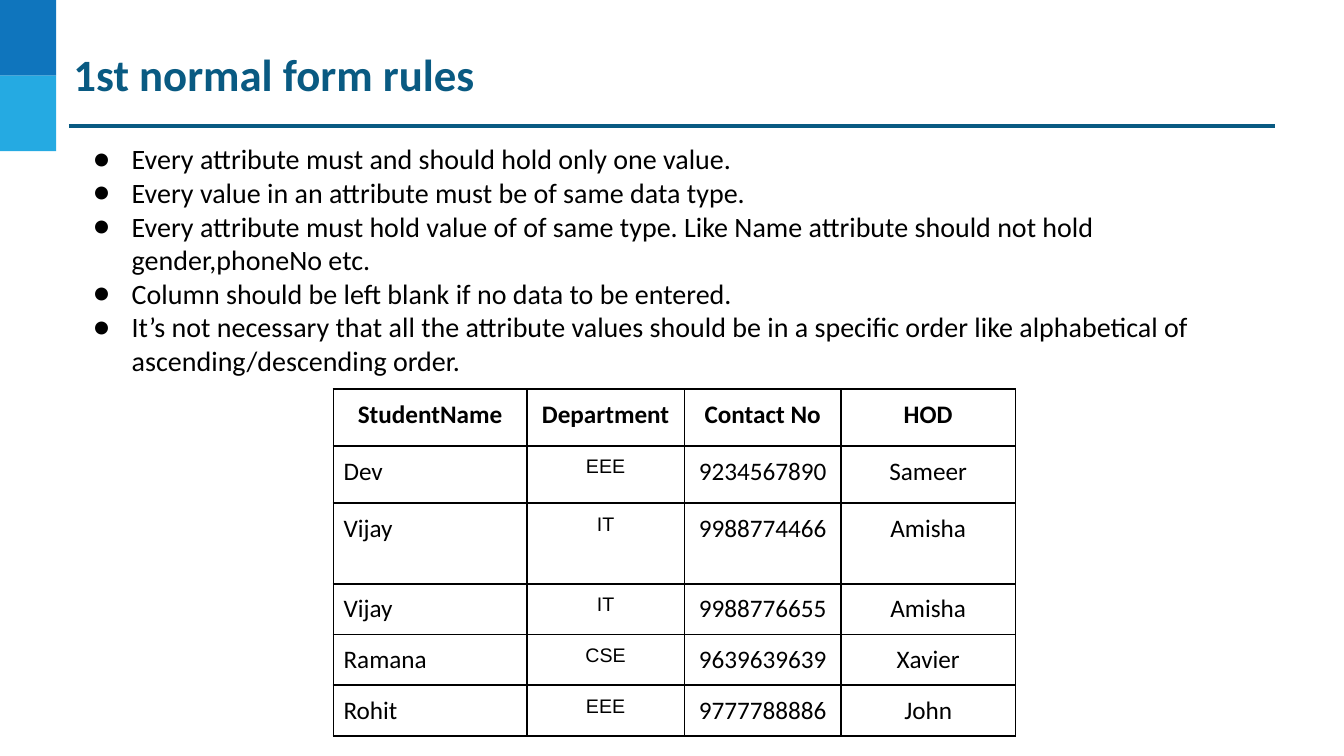
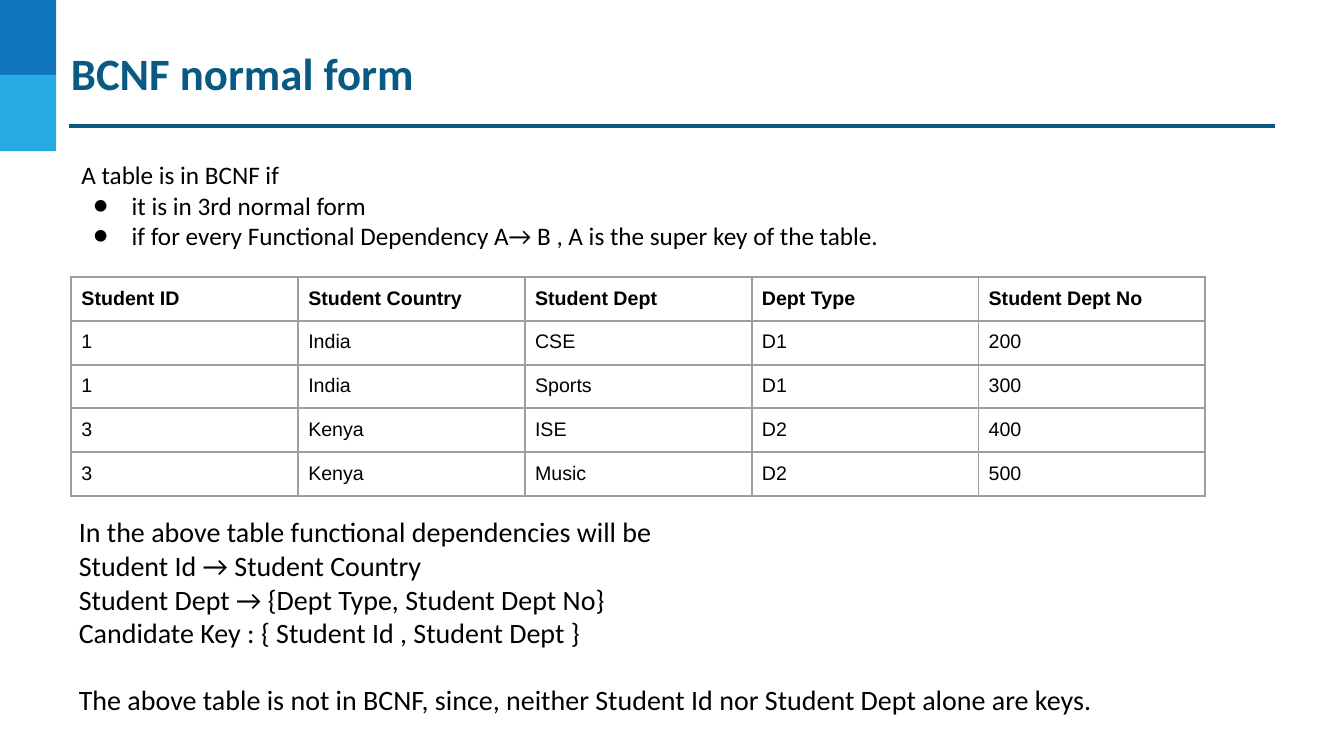
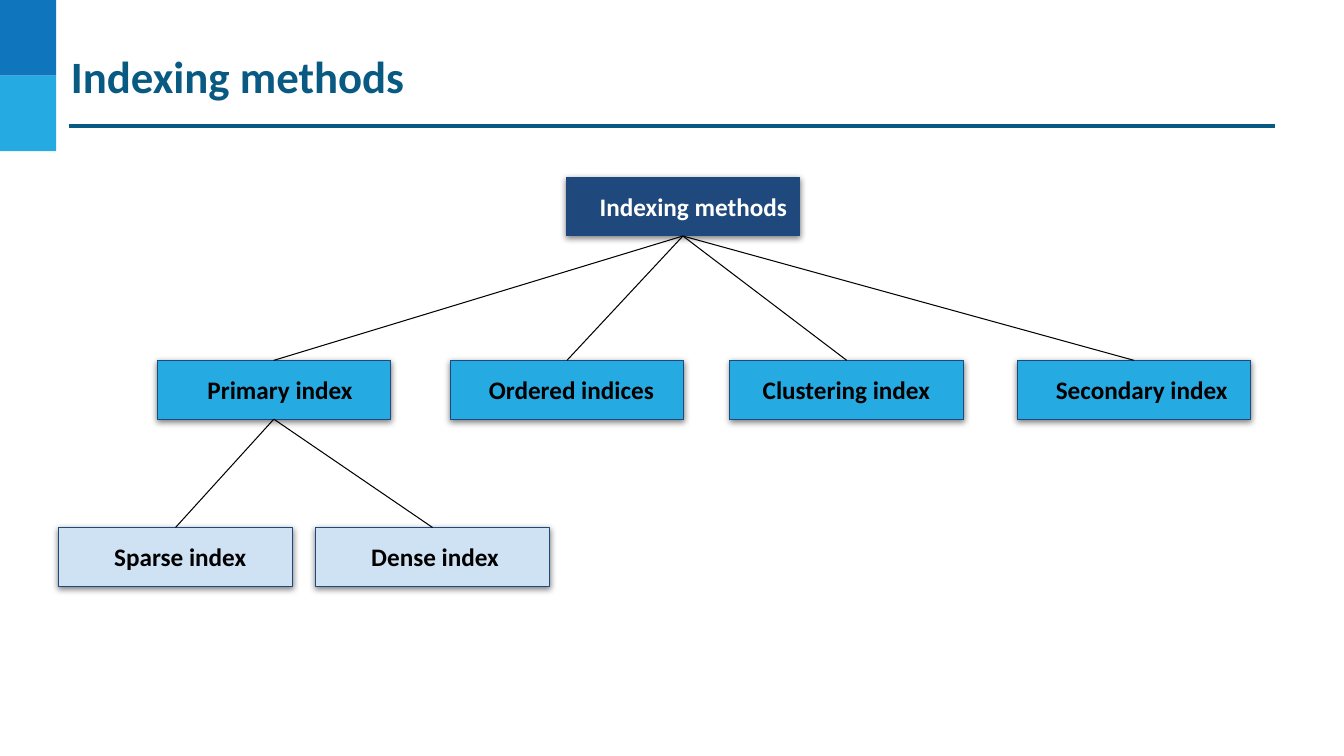
"""Build three database slides: 1st normal form, BCNF and indexing methods."""
from lxml.etree import SubElement
from pptx import Presentation
from pptx.dml.color import RGBColor
from pptx.enum.shapes import MSO_CONNECTOR, MSO_SHAPE
from pptx.enum.text import MSO_ANCHOR, MSO_AUTO_SIZE, PP_ALIGN
from pptx.oxml.ns import qn
from pptx.util import Inches, Pt

C = {name: RGBColor.from_string(value) for name, value in {
    "band": "0F75BD", "sky": "25AAE2", "title": "095A82", "navy": "1F497D",
    "pale": "CFE2F3", "grey": "9E9E9E", "black": "000000", "white": "FFFFFF",
}.items()}

prs = Presentation()
prs.slide_width, prs.slide_height = Inches(40 / 3), Inches(7.5)
U = prs.slide_width // 160
PAD = 1.2
blank = prs.slide_layouts[6]


def add_text(s, x, y, w, h, lines, size, color="black", bold=False, pad=PAD, bullets=()):
    tb = s.shapes.add_textbox(*(int(v * U) for v in (x, y, w, h)))
    tf = tb.text_frame
    tf.word_wrap = True
    tf.auto_size = MSO_AUTO_SIZE.SHAPE_TO_FIT_TEXT
    tf.margin_left = tf.margin_right = tf.margin_top = tf.margin_bottom = int(pad * U)
    tf.text = "\n".join(lines)
    for i, p in enumerate(tf.paragraphs):
        f = p.runs[0].font
        f.name, f.size, f.bold, f.color.rgb = "Calibri", Pt(size), bold, C[color]
        if i in bullets:
            pPr = p._p.get_or_add_pPr()
            pPr.set("marL", str(6 * U))
            pPr.set("indent", str(int(-4.6 * U)))
            clr = SubElement(pPr, qn("a:buClr"))
            SubElement(clr, qn("a:srgbClr"), val=str(C["black"]))
            SubElement(pPr, qn("a:buFont"), typeface="Calibri")
            SubElement(pPr, qn("a:buChar"), char="●")
    return tf


def add_grid(s, x, y, cols, rows, data, border, styles, header=True):
    tbl = s.shapes.add_table(len(rows), len(cols), int(x * U), int(y * U),
                             int(sum(cols) * U), int(sum(rows) * U)).table
    tbl.first_row = tbl.horz_banding = False
    for column, w in zip(tbl.columns, cols):
        column.width = int(w * U)
    for i, (row, h, texts) in enumerate(zip(tbl.rows, rows, data)):
        row.height = int(h * U)
        for cell, text, style in zip(row.cells, texts, styles[min(i, 1) if header else 1]):
            name, size, align = style
            cell.margin_left = cell.margin_right = int(PAD * U)
            cell.margin_top = cell.margin_bottom = int(PAD * U)
            cell.text = text
            p = cell.text_frame.paragraphs[0]
            p.alignment = align
            f = p.runs[0].font
            f.name, f.size, f.color.rgb = name, Pt(size), C["black"]
            f.bold = header and i == 0
            tcPr = cell._tc.get_or_add_tcPr()
            for side in ("lnL", "lnR", "lnT", "lnB"):
                ln = SubElement(tcPr, qn(f"a:{side}"), w=str(Pt(1.5)))
                fill = SubElement(ln, qn("a:solidFill"))
                SubElement(fill, qn("a:srgbClr"), val=str(C[border]))
            cell.fill.background()


slides = [prs.slides.add_slide(blank) for _ in range(3)]
first_form, bcnf, indexing = slides
connectors = []

for ph in list(blank.placeholders):
    blank.shapes.element.remove(ph.element)
for i, color in enumerate(("band", "sky")):
    sp = first_form.shapes.add_shape(MSO_SHAPE.RECTANGLE, 0, 9 * i * U, int(6.7 * U), 9 * U)
    sp.shadow.inherit = False
    sp.fill.solid()
    sp.fill.fore_color.rgb = C[color]
    sp.line.fill.background()
    blank.shapes.element.append(sp.element)
rule = first_form.shapes.add_connector(MSO_CONNECTOR.STRAIGHT, int(8.2 * U), 15 * U,
                                       int(151.8 * U), 15 * U)
blank.shapes.element.append(rule._element)
connectors.append((rule, "title", 2.25))

for s, title, x, y in ((first_form, "1st normal form rules", 8.5, 5.3),
                       (bcnf, "BCNF normal form", 8.2, 5.2),
                       (indexing, "Indexing methods", 8.2, 5.6)):
    add_text(s, x, y, 143.6, 7, [title], 32, "title", True, 0.24)

add_text(first_form, 8.5, 15.7, 142.9, 30.7, [
    "Every attribute must and should hold only one value.",
    "Every value in an attribute must be of same data type.",
    "Every attribute must hold value of of same type. Like Name attribute should not hold "
    "gender,phoneNo etc.",
    "Column should be left blank if no data to be entered.",
    "It’s not necessary that all the attribute values should be in a specific order like "
    "alphabetical of ascending/descending order.",
], 20, bullets=range(5))

students = [
    ("StudentName", "Department", "Contact No", "HOD"),
    ("Dev", "EEE", "9234567890", "Sameer"),
    ("Vijay", "IT", "9988774466", "Amisha"),
    ("Vijay", "IT", "9988776655", "Amisha"),
    ("Ramana", "CSE", "9639639639", "Xavier"),
    ("Rohit", "EEE", "9777788886", "John"),
]
centred = ("Calibri", 18, PP_ALIGN.CENTER)
student_styles = ([centred] * 4, [("Calibri", 18, PP_ALIGN.LEFT),
                                  ("Arial", 14, PP_ALIGN.CENTER), centred, centred])
student_cols = (23, 18.8, 18.6, 20.8)
student_rows = (6.8, 6.8, 9.6, 6.05, 6.05)
add_grid(first_form, 39.7, 46.3, student_cols, student_rows, students[:5], "black",
         student_styles)
add_grid(first_form, 39.7, 46.3 + sum(student_rows), student_cols, student_rows[-1:],
         students[5:], "black", student_styles, header=False)

add_text(bcnf, 8.5, 17.8, 142.9, 13.3, [
    "A table is in BCNF if",
    "it is in 3rd normal form",
    "if for every Functional Dependency A→ B , A is the super key of the table.",
], 18, bullets=(1, 2))
add_grid(bcnf, 8.5, 33, [27] * 5, [5.2] * 5, [
    ("Student ID", "Student Country", "Student Dept", "Dept Type", "Student Dept No"),
    ("1", "India", "CSE", "D1", "200"),
    ("1", "India", "Sports", "D1", "300"),
    ("3", "Kenya", "ISE", "D2", "400"),
    ("3", "Kenya", "Music", "D2", "500"),
], "grey", [[("Arial", 14, PP_ALIGN.LEFT)] * 5] * 2)
tf = add_text(bcnf, 8.2, 60.1, 142.9, 26.6, [
    "In the above table functional dependencies will be",
    "Student Id → Student Country",
    "Student Dept → {Dept Type, Student Dept No}",
    "Candidate Key : { Student Id , Student Dept }",
    "The above table is not in BCNF, since, neither Student Id nor Student Dept alone are keys.",
], 20)
tf.paragraphs[-1].space_before = Pt(24)

levels = {0: (21.1, "navy", "white"), 1: (42.9, "sky", "black"), 2: (62.8, "pale", "black")}
tree = (
    ("Indexing methods", None, 0, 67.4, 4),
    ("Primary index", "Indexing methods", 1, 18.7, 6),
    ("Ordered indices", "Indexing methods", 1, 53.6, 4.6),
    ("Clustering index", "Indexing methods", 1, 86.9, 3.9),
    ("Secondary index", "Indexing methods", 1, 121.1, 4.6),
    ("Sparse index", "Primary index", 2, 7, 6.6),
    ("Dense index", "Primary index", 2, 37.6, 6.6),
)
nodes = {}
for text, parent, level, x, inset in tree:
    y, fill, ink = levels[level]
    sp = indexing.shapes.add_shape(MSO_SHAPE.RECTANGLE, int(x * U), int(y * U),
                                   int(27.8 * U), 7 * U)
    sp.fill.solid()
    sp.fill.fore_color.rgb = C[fill]
    sp.line.color.rgb = C["navy"]
    sp.line.width = Pt(0.75)
    sp.shadow.inherit = False
    shadow = SubElement(sp.element.spPr.find(qn("a:effectLst")), qn("a:outerShdw"),
                        blurRad=str(Pt(4.5)), dist=str(Pt(1.5)), dir="5400000",
                        rotWithShape="0")
    clr = SubElement(shadow, qn("a:srgbClr"), val=str(C["black"]))
    SubElement(clr, qn("a:alpha"), val="50000")
    tf = sp.text_frame
    tf.margin_left, tf.margin_right = int(inset * U), int(PAD * U)
    tf.margin_top = tf.margin_bottom = int(PAD * U)
    tf.vertical_anchor = MSO_ANCHOR.MIDDLE
    tf.text = text
    p = tf.paragraphs[0]
    p.alignment = PP_ALIGN.LEFT
    f = p.runs[0].font
    f.name, f.size, f.bold, f.color.rgb = "Calibri", Pt(18), True, C[ink]
    nodes[text] = sp

for text, parent, *_ in tree[1:]:
    link = indexing.shapes.add_connector(MSO_CONNECTOR.STRAIGHT, 0, 0, 0, 0)
    link.begin_connect(nodes[parent], 2)
    link.end_connect(nodes[text], 0)
    connectors.append((link, "black", 0.75))

for line, color, width in connectors:
    line.line.color.rgb = C[color]
    line.line.width = Pt(width)
    SubElement(line._element.spPr, qn("a:effectLst"))

prs.save("out.pptx")
